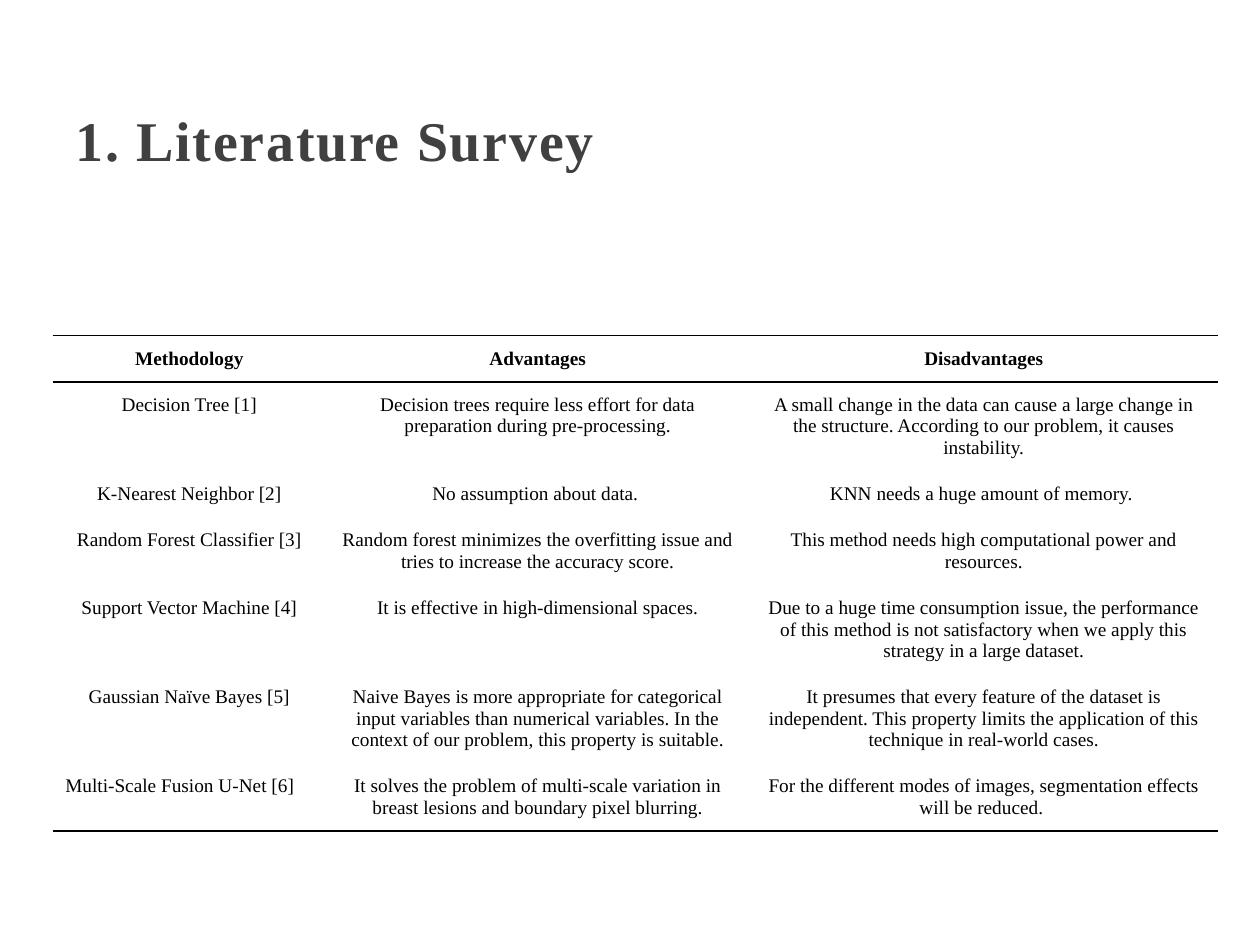
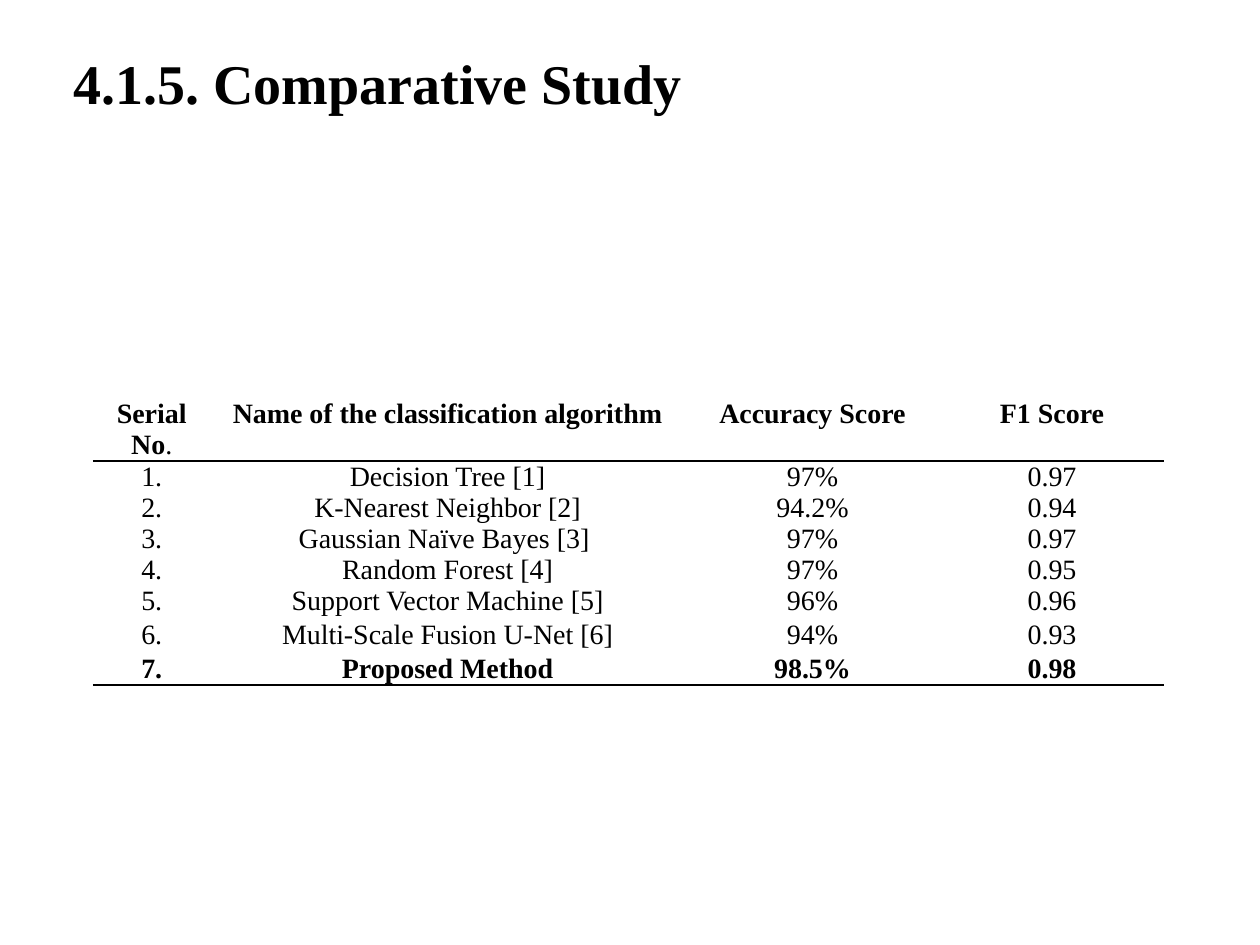
from lxml import etree
from pptx import Presentation
from pptx.dml.color import RGBColor
from pptx.enum.shapes import MSO_SHAPE
from pptx.enum.text import MSO_ANCHOR, PP_ALIGN
from pptx.oxml.ns import qn
from pptx.util import Pt

RECT = MSO_SHAPE.RECTANGLE
TOP, MIDDLE = MSO_ANCHOR.TOP, MSO_ANCHOR.MIDDLE
CENTER, LEFT, JUSTIFY = PP_ALIGN.CENTER, PP_ALIGN.LEFT, PP_ALIGN.JUSTIFY

FONT = "Times New Roman"
BLACK, GREY, WHITE = "000000", "404040", "FFFFFF"
NO_STYLE = "{2D5ABB26-0587-4C30-8999-92F81FD0307C}"
TITLE_SIZE = 32
RULE_WIDTH = 1

SURVEY = [
    ("Methodology", "Advantages", "Disadvantages"),
    ("Decision Tree [1]",
     "Decision trees require less effort for data preparation during pre-processing.",
     "A small change in the data can cause a large change in the structure. "
     "According to our problem, it causes instability."),
    ("K-Nearest Neighbor [2]",
     "No assumption about data. ",
     "KNN needs a huge amount of memory. "),
    ("Random Forest Classifier [3]",
     "Random forest minimizes the overfitting issue and tries to increase the accuracy score.",
     "This method needs high computational power and resources."),
    ("Support Vector Machine [4]",
     "It is effective in high-dimensional spaces.",
     "Due to a huge time consumption issue, the performance of this method is not "
     "satisfactory when we apply this strategy in a large dataset."),
    ("Gaussian Naïve Bayes [5]",
     "Naive Bayes is more appropriate for categorical input variables than numerical "
     "variables. In the context of our problem, this property is suitable.",
     "It presumes that every feature of the dataset is independent. This property "
     "limits the application of this technique in real-world cases."),
    ("Multi-Scale Fusion U-Net [6]",
     "It solves the problem of multi-scale variation in breast lesions and boundary "
     "pixel blurring.",
     "For the different modes of images, segmentation effects will be reduced. "),
]
SURVEY_COLS = [156.2, 242, 267.8]
SURVEY_LINES = [1, 3, 1, 2, 3, 3, 2]
SURVEY_ROWS = [14.2 + 12.1 * n for n in SURVEY_LINES]

SCORES = [
    ("Serial No.", "Name of the classification algorithm", "Accuracy Score", "F1 Score"),
    ("1.", "Decision Tree [1]", "97%", "0.97"),
    ("2.", "K-Nearest Neighbor [2]", "94.2%", "0.94"),
    ("3.", "Gaussian Naïve Bayes [3] ", "97%", "0.97"),
    ("4.", "Random Forest [4]", "97%", "0.95"),
    ("5.", "Support Vector Machine [5]", "96%", "0.96"),
    ("6.", "Multi-Scale Fusion U-Net [6]", "94%", "0.93"),
    ("7.", "Proposed Method", "98.5%", "0.98"),
]
SCORES_COLS = [67.4, 270.8, 146.2, 127.6]
SCORES_ROWS = [35.5] + [17.7] * 4 + [19.5] * 2 + [17.7]


def rgb(value):
    return RGBColor.from_string(value)


def style_run(r, size, color, bold):
    r.font.name = FONT
    r.font.size = Pt(size)
    r.font.bold = bold
    r.font.color.rgb = rgb(color)


def add_title(s, text, box, color, anchor, line_spacing=1.0, tracking=0):
    sp = s.shapes.add_shape(RECT, *map(Pt, box))
    sp.shadow.inherit = False
    sp.fill.background()
    sp.line.fill.background()
    tf = sp.text_frame
    tf.word_wrap = True
    tf.vertical_anchor = anchor
    tf.text = text
    p = tf.paragraphs[0]
    p.alignment = JUSTIFY
    p.line_spacing = line_spacing
    r = p.runs[0]
    style_run(r, TITLE_SIZE, color, True)
    if tracking:
        r.font._element.set("spc", str(tracking * 100))
    return sp


def fill_translucent(sp, color, opacity):
    sp.fill.solid()
    sp.fill.fore_color.rgb = rgb(color)
    clr = sp._element.spPr.find(qn("a:solidFill")).find(qn("a:srgbClr"))
    etree.SubElement(clr, qn("a:alpha"), val=str(opacity * 1000))


def set_rule(cell, side, visible):
    ln = etree.SubElement(cell._tc.get_or_add_tcPr(), qn(f"a:{side}"), w=str(Pt(RULE_WIDTH)))
    if visible:
        fill = etree.SubElement(ln, qn("a:solidFill"))
        etree.SubElement(fill, qn("a:srgbClr"), val=BLACK)
    else:
        etree.SubElement(ln, qn("a:noFill"))


def add_ruled_table(s, rows, left, top, widths, heights, size, inset_x, inset_y,
                    bold_rows, top_rules, bottom_rules):
    frame = s.shapes.add_table(len(rows), len(widths), Pt(left), Pt(top),
                               Pt(sum(widths)), Pt(sum(heights)))
    table = frame.table
    table.first_row = table.horz_banding = False
    table._tbl.tblPr.find(qn("a:tableStyleId")).text = NO_STYLE
    for column, width in zip(table.columns, widths):
        column.width = Pt(width)
    for i, (row, height) in enumerate(zip(rows, heights)):
        table.rows[i].height = Pt(height)
        for j, text in enumerate(row):
            cell = table.cell(i, j)
            cell.margin_left = cell.margin_right = Pt(inset_x)
            cell.margin_top = cell.margin_bottom = Pt(inset_y)
            set_rule(cell, "lnT", i in top_rules)
            set_rule(cell, "lnB", i in bottom_rules)
            cell.fill.solid()
            cell.fill.fore_color.rgb = rgb(WHITE)
            cell.text_frame.text = text
            p = cell.text_frame.paragraphs[0]
            p.alignment = CENTER
            style_run(p.runs[0], size, BLACK, i in bold_rows)
    return table


def build_survey(s):
    add_title(s, "1. Literature Survey", (36, 23.8, 612, 115.9), GREY, MIDDLE, 0.9, 1)
    last = len(SURVEY) - 1
    table = add_ruled_table(s, SURVEY, 30.1, 191.8, SURVEY_COLS, SURVEY_ROWS, 11, 7.2, 7.1,
                            {0}, {0, 1}, {0, last})
    table.cell(last, 0).text_frame.paragraphs[0].alignment = LEFT


def build_scores(s):
    last = len(SCORES) - 1
    table = add_ruled_table(s, SCORES, 53, 227.9, SCORES_COLS, SCORES_ROWS, 16, 5, 0,
                            {0, last}, {1}, {0, last})
    p = table.cell(0, 0).text_frame.paragraphs[0]
    p.runs[0].text = SCORES[0][0].rstrip(".")
    r = p.add_run()
    r.text = "."
    style_run(r, 16, BLACK, False)
    sp = add_title(s, "4.1.5. Comparative Study ", (34.9, 24.1, 648, 65.5), BLACK, TOP)
    fill_translucent(sp, WHITE, 30)


def main():
    prs = Presentation()
    prs.slide_width, prs.slide_height = Pt(720), Pt(540)
    for build in (build_survey, build_scores):
        build(prs.slides.add_slide(prs.slide_layouts[6]))
    prs.save("out.pptx")


if __name__ == "__main__":
    main()
